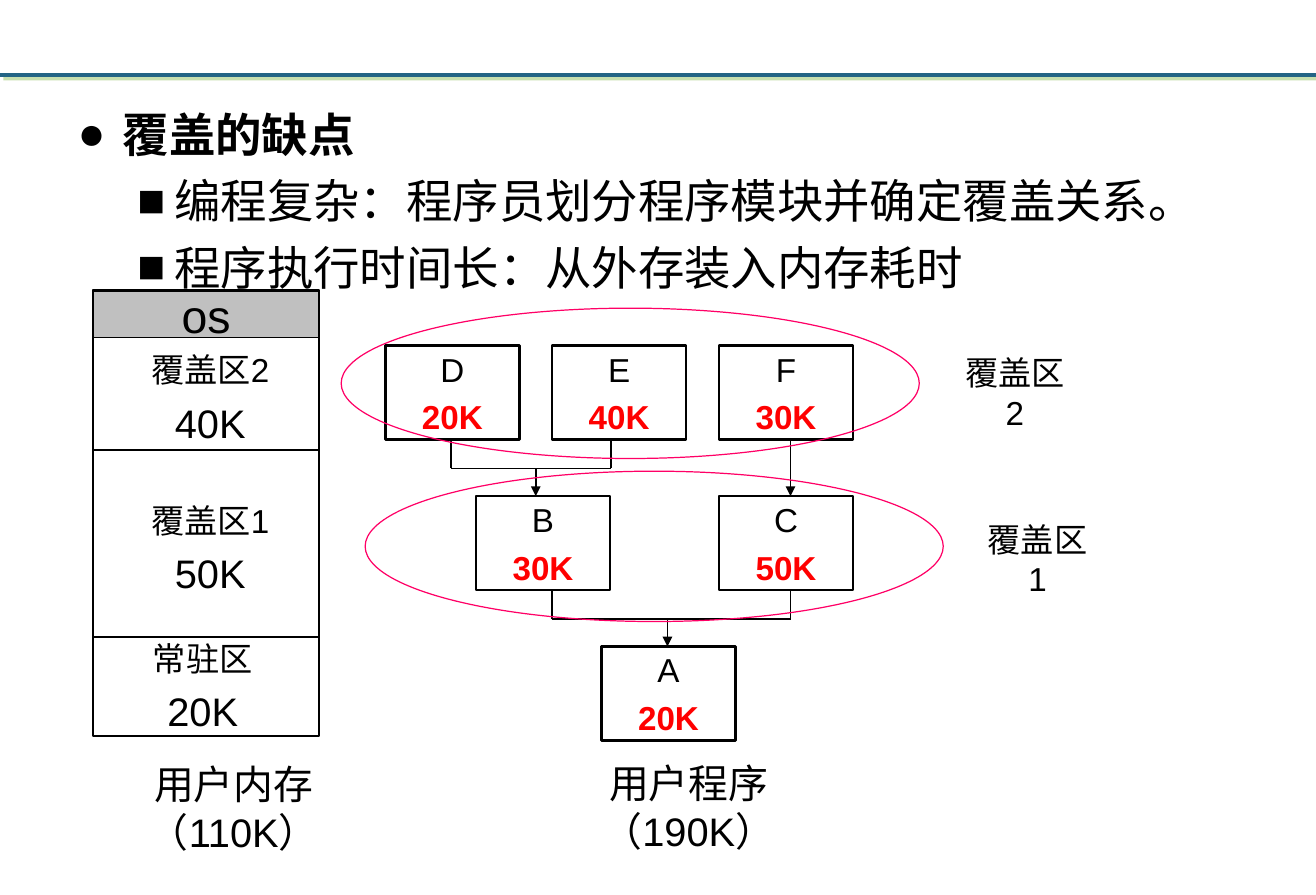
"""Build the slide on the drawbacks of memory overlays."""
from dataclasses import dataclass

from lxml import etree
from pptx import Presentation
from pptx.dml.color import RGBColor
from pptx.enum.shapes import MSO_CONNECTOR, MSO_SHAPE
from pptx.enum.text import MSO_ANCHOR, MSO_AUTO_SIZE, PP_ALIGN
from pptx.oxml.ns import qn
from pptx.util import Cm, Pt

RECT = MSO_SHAPE.RECTANGLE
OVAL = MSO_SHAPE.OVAL
LINE = MSO_CONNECTOR.STRAIGHT
TOP, MID = MSO_ANCHOR.TOP, MSO_ANCHOR.MIDDLE
FIXED = MSO_AUTO_SIZE.NONE
CENTER = PP_ALIGN.CENTER
BLACK, RED, PINK, GRAY = "000000", "FF0000", "FF0066", "C0C0C0"
TEAL, GREEN = "236485", "90C060"
BOX_W, BOX_H, ROW_TOP, ROW_STEP, COL_STEP = 2.85, 2.0, 7.36, 3.2, 3.55
MEM_LEFT, MEM_W = 1.98, 4.81


@dataclass
class Row:
    text: str
    size: float = 20
    color: str = BLACK
    bold: bool = False


@dataclass
class Item:
    text: str
    level: int
    mark: str
    left: float
    hang: float
    bold: bool = False


@dataclass
class Module:
    name: str
    size: str
    left: float
    row: int


@dataclass
class Zone:
    name: str
    size: str
    left: float
    top: float


@dataclass
class Note:
    text: str
    size: float
    left: float
    top: float
    width: float


@dataclass
class Join:
    legs: tuple[float, float]
    stem: float
    row: int


ITEMS = [
    Item("覆盖的缺点", 0, "●", 0.96, 0.96, True),
    Item("编程复杂：程序员划分程序模块并确定覆盖关系。", 1, "■", 2.06, 0.79),
    Item("程序执行时间长：从外存装入内存耗时", 1, "■", 2.06, 0.79),
]
MODULES = [Module(name, size, 8.2 + i * COL_STEP, 0)
           for i, (name, size) in enumerate([("D", "20K"), ("E", "40K"), ("F", "30K")])]
MODULES += [
    Module("B", "30K", 10.13, 1),
    Module("C", "50K", 8.2 + 2 * COL_STEP, 1),
    Module("A", "20K", 12.8, 2),
]
JOINS = [Join((9.6, 13.0), 11.4, 0), Join((11.75, 16.82), 14.2, 1)]
RINGS = [(7.77, 10.03), (7.26, 6.56)]
ZONES = [
    Zone("覆盖区2", "40K", 2.57, 7.98),
    Zone("覆盖区1", "50K", 2.57, 11.18),
    Zone("常驻区", "20K", 2.41, 14.12),
]
NOTES = [
    Note("用户程序（190K）", 24, 10.87, 16.03, 7.57),
    Note("覆盖区1", 20, 20.55, 10.92, 3.05),
    Note("覆盖区2", 20, 20.07, 7.37, 3.05),
    Note("用户内存（110K）", 24, 1.19, 16.05, 7.57),
]


def hue(code: str) -> RGBColor:
    return RGBColor.from_string(code)


def add_run(para, row: Row) -> None:
    run = para.add_run()
    run.text = row.text
    font = run.font
    font.name, font.size, font.bold = "Arial", Pt(row.size), row.bold
    font.color.rgb = hue(row.color)


def write(frame, rows: list[Row], wrap: bool = False, anchor=MID) -> None:
    frame.word_wrap, frame.vertical_anchor = wrap, anchor
    for i, row in enumerate(rows):
        para = frame.add_paragraph() if i else frame.paragraphs[0]
        para.alignment = CENTER
        para.space_before = Pt(round(row.size * 0.23, 1) if i else 0)
        add_run(para, row)


def add_list(body) -> None:
    body.left, body.top, body.width, body.height = Cm(1.4), Cm(2.13), Cm(25.2), Cm(14.88)
    frame = body.text_frame
    frame.word_wrap, frame.auto_size, frame.vertical_anchor = True, FIXED, TOP
    for i, item in enumerate(ITEMS):
        para = frame.add_paragraph() if i else frame.paragraphs[0]
        para.level = item.level
        props = para._p.get_or_add_pPr()
        props.set("marL", str(Cm(item.left)))
        props.set("indent", str(-Cm(item.hang)))
        etree.SubElement(props, qn("a:buChar")).set("char", item.mark)
        para.space_before = Pt(6.4 if i else 0)
        add_run(para, Item_row(item))


def Item_row(item: Item) -> Row:
    return Row(item.text, 28, bold=item.bold)


def add_form(shapes, kind, left: float, top: float, width: float, height: float,
             line: str = BLACK, weight: float = 1.5, fill: str = ""):
    form = shapes.add_shape(kind, Cm(left), Cm(top), Cm(width), Cm(height))
    form.shadow.inherit = False
    form.line.color.rgb, form.line.width = hue(line), Pt(weight)
    if fill:
        form.fill.solid()
        form.fill.fore_color.rgb = hue(fill)
    else:
        form.fill.background()
    return form


def add_line(shapes, x1: float, y1: float, x2: float, y2: float,
             weight: float = 1, color: str = BLACK, arrow: bool = False):
    """Draw a line and return its effect list."""
    line = shapes.add_connector(LINE, Cm(x1), Cm(y1), Cm(x2), Cm(y2))
    line.line.color.rgb, line.line.width = hue(color), Pt(weight)
    if arrow:
        etree.SubElement(line.line._get_or_add_ln(), qn("a:tailEnd")).set("type", "triangle")
    return etree.SubElement(line._element.spPr, qn("a:effectLst"))


def add_rule(shapes) -> None:
    effects = add_line(shapes, 0, 1.6, 28, 1.6, 2.25, TEAL)
    shade = etree.SubElement(effects, qn("a:outerShdw"), dist=str(Pt(2.8)), dir="2700000")
    tint = etree.SubElement(shade, qn("a:srgbClr"), val=GREEN)
    etree.SubElement(tint, qn("a:alpha"), val="50000")


def add_join(shapes, join: Join) -> None:
    top = ROW_TOP + join.row * ROW_STEP + BOX_H
    bar = top + 0.61
    add_line(shapes, join.stem, bar, join.stem, ROW_TOP + (join.row + 1) * ROW_STEP, arrow=True)
    add_line(shapes, join.legs[0], bar, join.legs[1], bar)
    for leg in join.legs:
        add_line(shapes, leg, top, leg, bar)


def add_note(shapes, note: Note) -> None:
    box = shapes.add_textbox(Cm(note.left), Cm(note.top), Cm(note.width), Cm(1.2))
    frame = box.text_frame
    frame.margin_left = frame.margin_right = Cm(0.4)
    write(frame, [Row(note.text, note.size)], True, TOP)


def main() -> None:
    deck = Presentation()
    deck.slide_width, deck.slide_height = Cm(28), Cm(19.05)
    slide = deck.slides.add_slide(deck.slide_layouts[1])
    shapes = slide.shapes
    title = shapes.title._element
    title.getparent().remove(title)
    add_list(slide.placeholders[1])
    add_rule(shapes)
    for mod in MODULES:
        box = add_form(shapes, RECT, mod.left, ROW_TOP + mod.row * ROW_STEP, BOX_W, BOX_H)
        write(box.text_frame, [Row(mod.name), Row(mod.size, color=RED, bold=True)])
    for join in JOINS:
        add_join(shapes, join)
    add_line(shapes, 16.82, ROW_TOP + BOX_H, 16.82, ROW_TOP + ROW_STEP, arrow=True)
    for left, top in RINGS:
        add_form(shapes, OVAL, left, top, 12.3, 3.2, PINK, 0.75)
    for note in NOTES:
        add_note(shapes, note)
    add_form(shapes, RECT, MEM_LEFT, 6.17, MEM_W, 9.5)
    head = add_form(shapes, RECT, MEM_LEFT, 6.2, MEM_W, 0.99, weight=0.75, fill=GRAY)
    write(head.text_frame, [Row("os", 28)])
    for y in (9.58, 13.56):
        add_line(shapes, MEM_LEFT, y, MEM_LEFT + MEM_W, y, 0.75)
    for zone in ZONES:
        box = shapes.add_textbox(Cm(zone.left), Cm(zone.top), Cm(3.81), Cm(0.99))
        write(box.text_frame, [Row(zone.name), Row(zone.size, 24)], True)
    deck.save("out.pptx")


if __name__ == "__main__":
    main()
